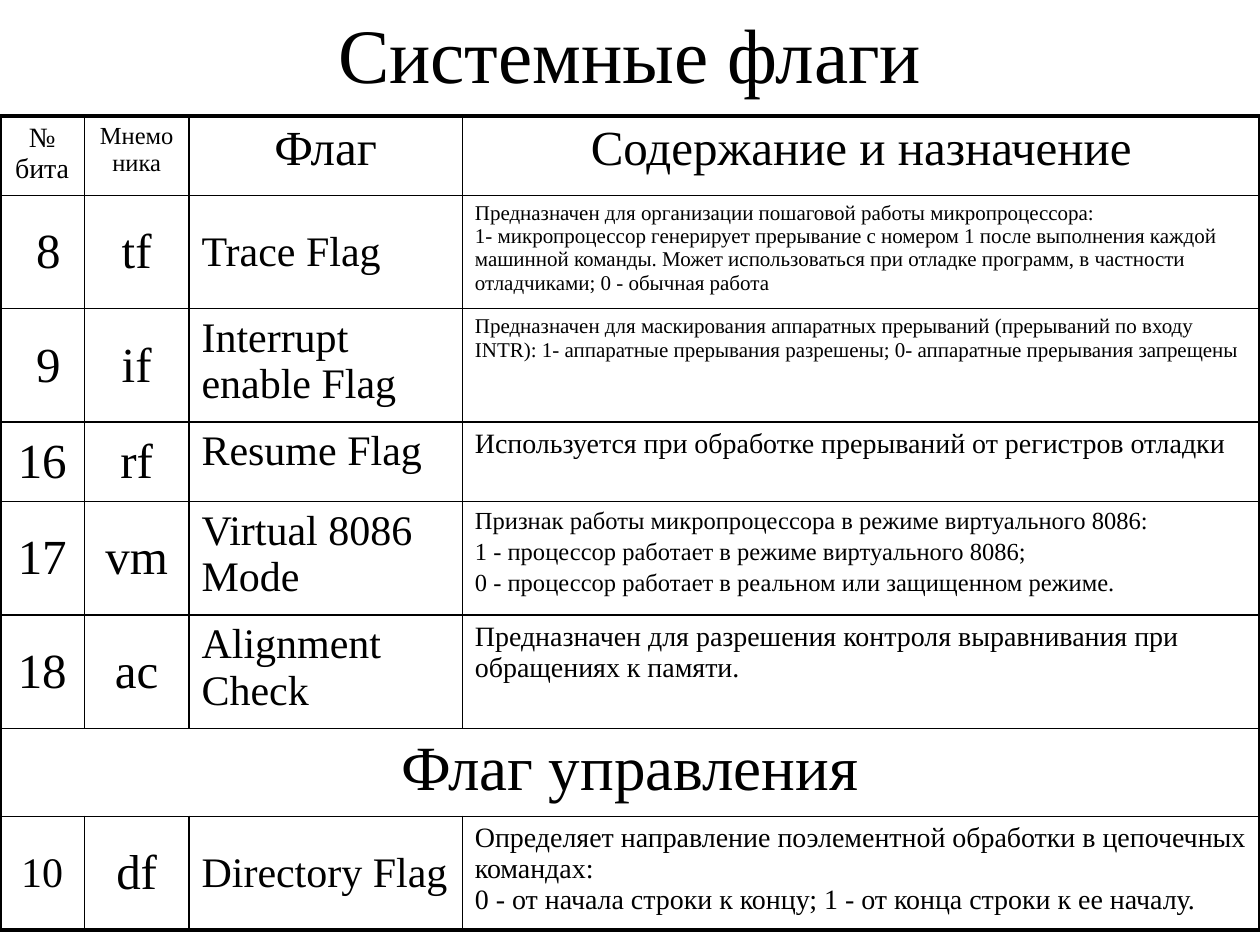
import copy
from dataclasses import dataclass

import pptx
import pptx.dml.color
import pptx.enum.text
import pptx.oxml
import pptx.oxml.ns
import pptx.table
import pptx.text.text
import pptx.util

Inches = pptx.util.Inches
Pt = pptx.util.Pt
Align = pptx.enum.text.PP_ALIGN
Anchor = pptx.enum.text.MSO_ANCHOR

COLORS = {"text": "000000", "border": "000000"}
FONT = "Times New Roman"
INNER_BORDER, OUTER_BORDER = 1, 2.25
COLUMN_WIDTHS = [0.67, 0.83, 2.17, 6.33]
HEADER_HEIGHT, SHORT_HEIGHT, TALL_HEIGHT, SECTION_HEIGHT = 0.63, 0.63, 0.9, 0.7


@dataclass
class FlagRow:
    bit: str
    mnemonic: str
    name: str
    description: list[str]
    description_size: float
    height: float = TALL_HEIGHT
    bit_size: float = 28
    name_anchor: Anchor = Anchor.TOP


HEADERS = [("№ бита", 16), ("Мнемоника", 14), ("Флаг", 28), ("Содержание и назначение", 28)]
SYSTEM_FLAGS = [
    FlagRow(" 8", "tf", "Trace Flag", [
        "Предназначен для организации пошаговой работы микропроцессора:\n"
        "1- микропроцессор генерирует прерывание с номером 1 после выполнения каждой "
        "машинной команды. Может использоваться при отладке программ, в частности "
        "отладчиками; 0 - обычная работа"], 12, name_anchor=Anchor.MIDDLE),
    FlagRow(" 9", "if", "Interrupt enable Flag", [
        "Предназначен для маскирования аппаратных прерываний (прерываний по входу INTR): "
        "1- аппаратные прерывания разрешены; 0- аппаратные прерывания запрещены"], 12),
    FlagRow("16", "rf", "Resume Flag", [
        "Используется при обработке прерываний от регистров отладки"], 16, SHORT_HEIGHT),
    FlagRow("17", "vm", "Virtual 8086 Mode", [
        "Признак работы микропроцессора в режиме виртуального 8086:",
        "1 - процессор работает в режиме виртуального 8086;",
        "0 - процессор работает в реальном или защищенном режиме."], 14),
    FlagRow("18", "ac", "Alignment Check", [
        "Предназначен для разрешения контроля выравнивания при обращениях к памяти."], 16),
]
CONTROL_FLAG = FlagRow("10", "df", "Directory Flag", [
    "Определяет направление поэлементной обработки в цепочечных командах:\n"
    "0 - от начала строки к концу; 1 - от конца строки к ее началу."],
    16, bit_size=24, name_anchor=Anchor.MIDDLE)


def write_text(frame: pptx.text.text.TextFrame, lines: list[str], *, size: float,
               align: Align = Align.LEFT, space_before: float = 2.2) -> None:
    for index, line in enumerate(lines):
        paragraph = frame.paragraphs[0] if index == 0 else frame.add_paragraph()
        paragraph.text = line
        paragraph.alignment = align
        paragraph.space_before = Pt(space_before if index else 0)
        for run in paragraph.runs:
            run.font.name = FONT
            run.font.size = Pt(size)
            run.font.color.rgb = pptx.dml.color.RGBColor.from_string(COLORS["text"])
        # Line breaks take the size of the text around them
        for line_break in paragraph._p.findall(pptx.oxml.ns.qn("a:br")):
            line_break.append(copy.deepcopy(paragraph.runs[0]._r.rPr))


def fill_cell(cell: pptx.table._Cell, lines: list[str], *, size: float,
              align: Align = Align.LEFT, anchor: Anchor = Anchor.TOP) -> None:
    write_text(cell.text_frame, lines, size=size, align=align)
    cell.vertical_anchor = anchor


def fill_flag_row(table: pptx.table.Table, row: int, flag: FlagRow) -> None:
    centred = {"align": Align.CENTER, "anchor": Anchor.MIDDLE}
    fill_cell(table.cell(row, 0), [flag.bit], size=flag.bit_size, **centred)
    fill_cell(table.cell(row, 1), [flag.mnemonic], size=28, **centred)
    fill_cell(table.cell(row, 2), [flag.name], size=24, anchor=flag.name_anchor)
    fill_cell(table.cell(row, 3), flag.description, size=flag.description_size)


def draw_borders(table: pptx.table.Table) -> None:
    last_row, last_column = len(table.rows) - 1, len(table.columns) - 1
    for row in range(last_row + 1):
        for column in range(last_column + 1):
            cell = table.cell(row, column)
            if cell.is_spanned:
                continue
            right = column + cell.span_width - 1 if cell.is_merge_origin else column
            outer_sides = {"lnL": column == 0, "lnR": right == last_column,
                           "lnT": row == 0, "lnB": row == last_row}
            properties = cell._tc.get_or_add_tcPr()
            for side, is_outer in outer_sides.items():
                width = Pt(OUTER_BORDER if is_outer else INNER_BORDER)
                properties.append(pptx.oxml.parse_xml(
                    f'<a:{side} {pptx.oxml.ns.nsdecls("a")} w="{width}"><a:solidFill>'
                    f'<a:srgbClr val="{COLORS["border"]}"/></a:solidFill></a:{side}>'))
            cell.fill.background()


def main() -> None:
    presentation = pptx.Presentation()
    presentation.slide_width, presentation.slide_height = Inches(10), Inches(7.5)
    slide = presentation.slides.add_slide(presentation.slide_layouts[5])

    # Title
    title = slide.shapes.title
    title.left, title.top = Inches(0.75), Inches(0.08)
    title.width, title.height = Inches(8.5), Inches(0.67)
    title.text_frame.auto_size = pptx.enum.text.MSO_AUTO_SIZE.NONE
    title.text_frame.vertical_anchor = Anchor.MIDDLE
    write_text(title.text_frame, ["Системные флаги"], size=44, align=Align.CENTER)

    # Table grid
    heights = [HEADER_HEIGHT, *(flag.height for flag in SYSTEM_FLAGS),
               SECTION_HEIGHT, CONTROL_FLAG.height]
    table = slide.shapes.add_table(
        len(heights), len(COLUMN_WIDTHS), Inches(0), Inches(0.92),
        Inches(sum(COLUMN_WIDTHS)), Inches(sum(heights))).table
    table.first_row = table.horz_banding = False
    for column, width in zip(table.columns, COLUMN_WIDTHS):
        column.width = Inches(width)
    for row, height in zip(table.rows, heights):
        row.height = Inches(height)

    # Header and system flags
    for index, (header, size) in enumerate(HEADERS):
        fill_cell(table.cell(0, index), [header], size=size, align=Align.CENTER)
    for index, flag in enumerate(SYSTEM_FLAGS, start=1):
        fill_flag_row(table, index, flag)

    # Control flag section
    section_row = len(SYSTEM_FLAGS) + 1
    section = table.cell(section_row, 0)
    section.merge(table.cell(section_row, len(COLUMN_WIDTHS) - 1))
    fill_cell(section, ["Флаг управления"], size=36, align=Align.CENTER)
    fill_flag_row(table, section_row + 1, CONTROL_FLAG)

    draw_borders(table)
    presentation.save("out.pptx")


if __name__ == "__main__":
    main()
